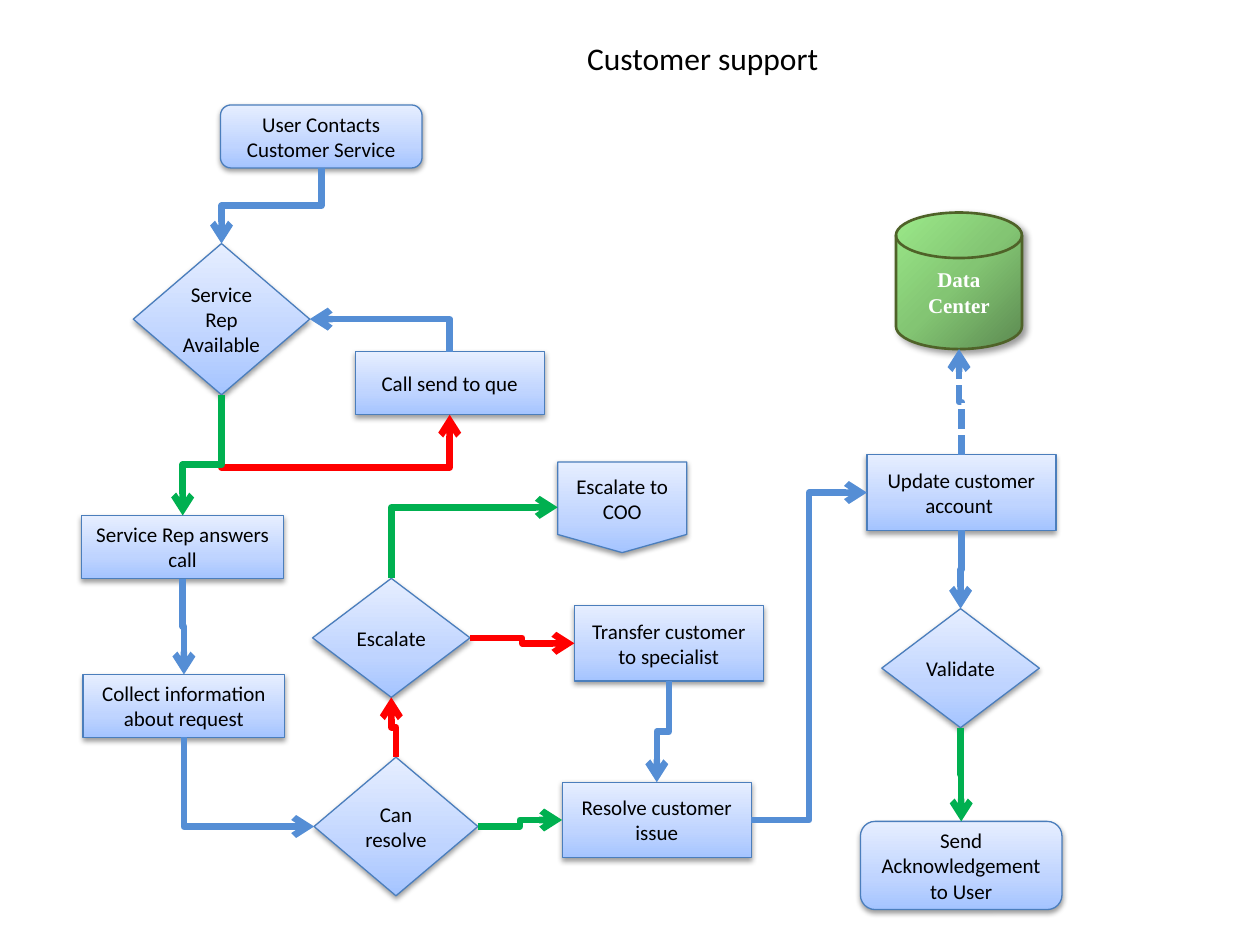
import pptx
import pptx.dml.color
import pptx.enum.dml
import pptx.enum.shapes
import pptx.enum.text
import pptx.oxml
import pptx.oxml.ns
import pptx.util
from lxml import etree

Pt = pptx.util.Pt
qn = pptx.oxml.ns.qn
SHAPE = pptx.enum.shapes.MSO_SHAPE
ALIGN = pptx.enum.text.PP_ALIGN
ANCHOR = pptx.enum.text.MSO_ANCHOR

BLUE, GREEN, RED = "558ED5", "00B050", "FF0000"
STEP_STYLE = dict(
    stops=[(0, "A4C4FF"), (35, "BFD4FF"), (100, "E6EEFF")], angle=270,
    outline="4B7EBC", weight=0.75, shadow=(38, 3.1, 1.6, 90))
DISK_STYLE = dict(
    stops=[(0, "5C8A51"), (50, "83C573"), (100, "9BE989")], angle=225,
    outline="4F6228", weight=1.5, shadow=(40, 4, 3, 45))
SIDES = ["top", "left", "bottom", "right"]


def color(value):
    return pptx.dml.color.RGBColor.from_string(value)


def write(box, text, size=12, font="Calibri", ink="000000", bold=False,
          align=ALIGN.CENTER, anchor=ANCHOR.MIDDLE, wrap=True, inset=None):
    frame = box.text_frame
    frame.word_wrap = wrap
    frame.vertical_anchor = anchor
    if inset is not None:
        frame.margin_left = frame.margin_right = Pt(inset)
        frame.margin_top = frame.margin_bottom = Pt(inset)
    frame.text = text
    for para in frame.paragraphs:
        para.alignment = align
        for span in para.runs:
            span.font.size = Pt(size)
            span.font.name = font
            span.font.bold = bold
            span.font.color.rgb = color(ink)


def add_color(parent, value, alpha=None):
    node = etree.SubElement(parent, qn("a:srgbClr"), val=value)
    if alpha is not None:
        etree.SubElement(node, qn("a:alpha"), val=str(alpha * 1000))


def decorate(box, stops, angle, outline, weight, shadow):
    # Gradient with any number of stops
    box.fill.gradient()
    box.fill.gradient_angle = 360 - angle
    properties = box._element.spPr
    stop_list = properties.find(".//" + qn("a:gsLst"))
    for old in list(stop_list):
        stop_list.remove(old)
    for position, value in stops:
        add_color(etree.SubElement(stop_list, qn("a:gs"), pos=str(position * 1000)), value)
    box.line.color.rgb = color(outline)
    box.line.width = Pt(weight)
    # Soft outer shadow
    box.shadow.inherit = False
    alpha, blur, distance, direction = shadow
    outer = etree.SubElement(
        properties.find(qn("a:effectLst")), qn("a:outerShdw"),
        blurRad=str(Pt(blur)), dist=str(Pt(distance)),
        dir=str(direction * 60000), rotWithShape="0")
    add_color(outer, "000000", alpha)


def add_step(page, kind, text, left, top, width, height, style=STEP_STYLE, **text_format):
    box = page.shapes.add_shape(kind, Pt(left), Pt(top), Pt(width), Pt(height))
    decorate(box, **style)
    if kind == SHAPE.FLOWCHART_DECISION:
        text_format["inset"] = 0
    write(box, text, **text_format)
    return box


def port(box, side):
    across = {"left": 0, "right": 1}.get(side, 0.5)
    down = {"top": 0, "bottom": 1}.get(side, 0.5)
    return box.left + box.width * across, box.top + box.height * down


def site(box, side):
    # The disk's sites start with one extra at the rim
    extra = box.auto_shape_type == SHAPE.FLOWCHART_MAGNETIC_DISK
    return SIDES.index(side) + extra


def link(page, source, leave, target, enter, ink=BLUE, bend=0.5, dashed=False):
    start_x, start_y = port(source, leave)
    end_x, end_y = port(target, enter)
    across, down = end_x - start_x, end_y - start_y
    line = page.shapes.add_connector(
        pptx.enum.shapes.MSO_CONNECTOR.ELBOW, 0, 0, 0, 0)
    line.begin_connect(source, site(source, leave))
    line.end_connect(target, site(target, enter))

    # The elbow runs along its own x axis, turned to the leaving side
    upright = leave in ("top", "bottom")
    turn = {"bottom": 90, "top": 270}.get(leave, 0)
    flip = {"bottom": across > 0, "top": across < 0}.get(leave, down < 0)
    width, height = abs(across), abs(down)
    if upright:
        width, height = height, width
    line.left = int((start_x + end_x - width) / 2)
    line.top = int((start_y + end_y - height) / 2)
    line.width, line.height = int(width), int(height)
    properties = line._element.spPr
    frame = properties.find(qn("a:xfrm"))
    frame.set("rot", str(turn * 60000))
    frame.set("flipH", "0")
    frame.set("flipV", str(int(flip)))

    # One corner when the ends are at right angles, otherwise two
    geometry = properties.find(qn("a:prstGeom"))
    if upright != (enter in ("top", "bottom")):
        geometry.set("prst", "bentConnector2")
    else:
        etree.SubElement(geometry.find(qn("a:avLst")), qn("a:gd"), name="adj1",
                         fmla=f"val {round(bend * 100000)}")
    line.line.color.rgb = color(ink)
    line.line.width = Pt(3.75)
    if dashed:
        line.line.dash_style = pptx.enum.dml.MSO_LINE.SQUARE_DOT
    etree.SubElement(properties.find(qn("a:ln")), qn("a:tailEnd"), type="arrow")
    etree.SubElement(properties, qn("a:effectLst"))


def add_title(page, left, top, width, height):
    title = page.shapes.title
    title.left, title.top, title.width, title.height = map(Pt, (left, top, width, height))
    write(title, "Customer support", size=18, align=ALIGN.LEFT, anchor=ANCHOR.TOP, wrap=False)
    title.text_frame.auto_size = pptx.enum.text.MSO_AUTO_SIZE.SHAPE_TO_FIT_TEXT


def add_intake(page, left, top):
    contact = add_step(page, SHAPE.FLOWCHART_ALTERNATE_PROCESS,
                       "User Contacts\nCustomer Service", left + 80, top, 115.2, 36)
    available = add_step(page, SHAPE.FLOWCHART_DECISION, "Service Rep Available",
                         left + 30.2, top + 79.2, 100.8, 86.4)
    queue = add_step(page, SHAPE.FLOWCHART_PROCESS, "Call send to que",
                     left + 157, top + 141, 108, 36)
    answer = add_step(page, SHAPE.FLOWCHART_PROCESS, "Service Rep answers call",
                      left + 0.8, top + 234.6, 115.2, 36)
    collect = add_step(page, SHAPE.FLOWCHART_PROCESS, "Collect information about request",
                       left + 1.5, top + 325.4, 115.2, 36)
    link(page, contact, "bottom", available, "top")
    link(page, queue, "top", available, "right")
    link(page, available, "bottom", queue, "bottom", RED, bend=3.65)
    link(page, available, "bottom", answer, "top", GREEN, bend=0.58)
    link(page, answer, "bottom", collect, "top")
    return collect


def add_resolution(page, left, top):
    officer = add_step(page, SHAPE.FLOWCHART_OFFPAGE_CONNECTOR, "Escalate to COO",
                       left + 140.7, top, 73.7, 51.8)
    escalate = add_step(page, SHAPE.FLOWCHART_DECISION, "Escalate",
                        left + 0.6, top + 66.5, 90, 68)
    can_resolve = add_step(page, SHAPE.FLOWCHART_DECISION, "Can resolve",
                           left + 1.5, top + 168.7, 93.6, 79.2)
    transfer = add_step(page, SHAPE.FLOWCHART_PROCESS, "Transfer customer to specialist",
                        left + 150.2, top + 82, 108, 43.2)
    resolve = add_step(page, SHAPE.FLOWCHART_PROCESS, "Resolve customer issue",
                       left + 143.3, top + 183, 108, 43.2)
    link(page, can_resolve, "right", resolve, "left", GREEN)
    link(page, can_resolve, "top", escalate, "bottom", RED)
    link(page, escalate, "right", transfer, "left", RED)
    link(page, escalate, "top", officer, "left", GREEN)
    link(page, transfer, "bottom", resolve, "top")
    return can_resolve, resolve


def add_closing(page, left, top):
    center = add_step(page, SHAPE.FLOWCHART_MAGNETIC_DISK, "Data\nCenter",
                      left + 21, top, 72, 78, DISK_STYLE,
                      font="Times New Roman", ink="FFFFFF", bold=True)
    update = add_step(page, SHAPE.FLOWCHART_PROCESS, "Update customer account ",
                      left + 4.4, top + 138.4, 108, 43.2)
    validate = add_step(page, SHAPE.FLOWCHART_DECISION, "Validate",
                        left + 12.9, top + 226.3, 90, 68)
    send = add_step(page, SHAPE.FLOWCHART_ALTERNATE_PROCESS, "Send Acknowledgement\nto User",
                    left + 0.7, top + 347.9, 115.2, 50.4)
    link(page, update, "top", center, "bottom", dashed=True)
    link(page, update, "bottom", validate, "top")
    link(page, validate, "bottom", send, "top", GREEN)
    return update


deck = pptx.Presentation()
deck.slide_width, deck.slide_height = Pt(720), Pt(540)
page = deck.slides.add_slide(deck.slide_layouts[5])
add_title(page, 328.3, 18.7, 148.3, 29)
collect = add_intake(page, 46, 60)
can_resolve, resolve = add_resolution(page, 178, 264)
update = add_closing(page, 491, 121.5)

# Links between the regions
link(page, collect, "bottom", can_resolve, "left")
link(page, resolve, "right", update, "left")
deck.save("out.pptx")
